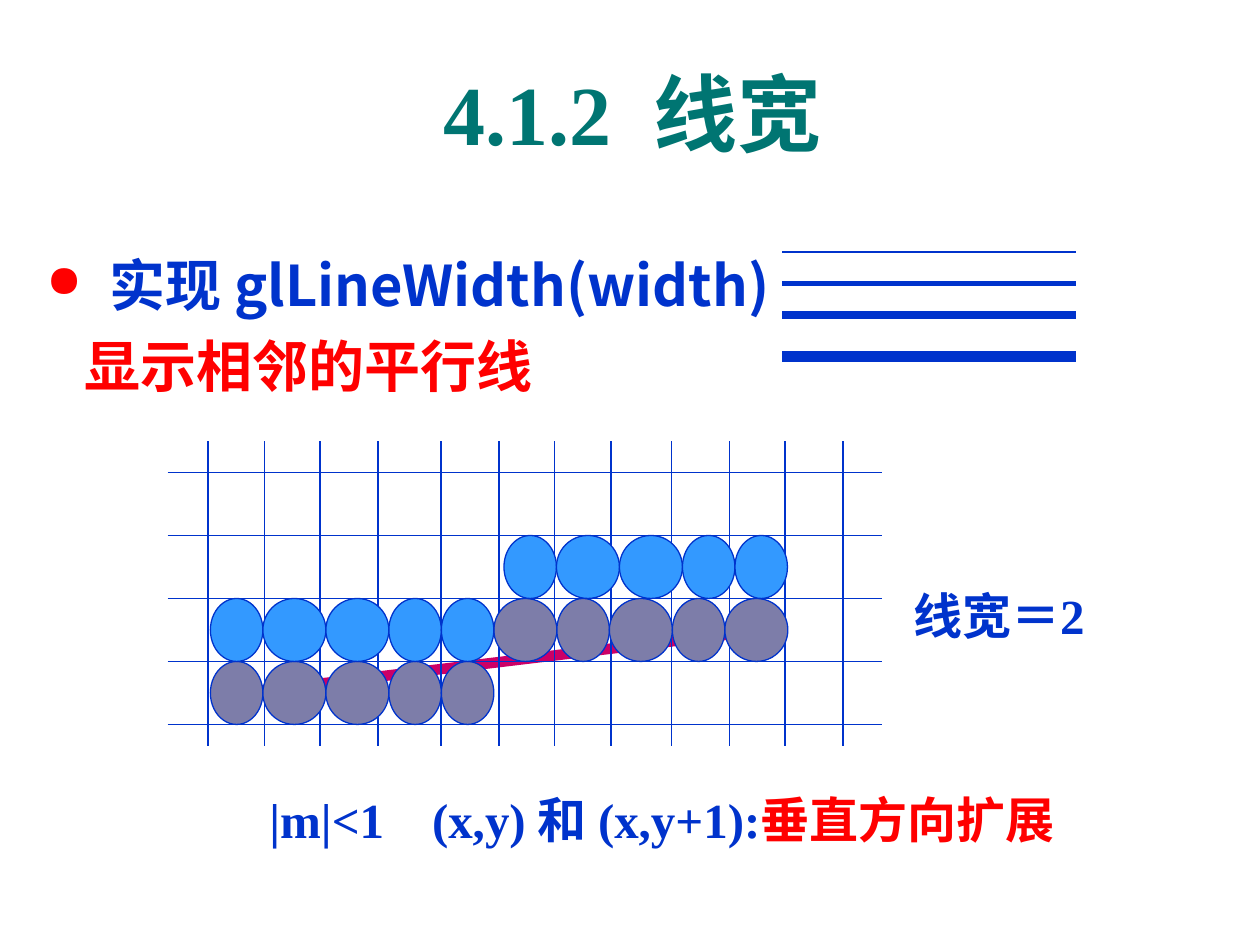
from lxml import etree
from pptx import Presentation
from pptx.dml.color import RGBColor
from pptx.enum import shapes, text
from pptx.oxml import ns
from pptx.util import Inches, Pt

COLORS = {
    "title": "007572",
    "blue": "0033CC",
    "red": "FF0000",
    "ideal_line": "CC0066",
    "base_pixel": "7D7DA9",
    "added_pixel": "3399FF",
}
SERIF, SANS = "Times New Roman", "Noto Sans CJK SC"

ROW = 0.5
WIDE, NARROW = 0.5, 5 / 12
GRID_X = [1.65, 2.1, 2.54, 3, 3.5, 3.96, 4.4, 4.85, 5.33, 5.79, 6.23, 6.69]
GRID_Y = [3.75 + ROW * row for row in range(5)]

EVEN_RUN = [NARROW, WIDE, WIDE, NARROW, NARROW]
MIXED_RUN = [WIDE, NARROW, WIDE, NARROW, WIDE]
# left, top, pixel widths, colour
PIXEL_RUNS = [
    (1.67, 5.25, EVEN_RUN, "base_pixel"),
    (3.92, 4.75, MIXED_RUN, "base_pixel"),
    (1.67, 4.75, EVEN_RUN, "added_pixel"),
    (4, 4.25, EVEN_RUN, "added_pixel"),
]
# height on the slide, line width
SAMPLE_LINES = [(2, 1), (2.25, 3), (2.5, 4.5), (2.83, 6)]


def rgb(name):
    return RGBColor.from_string(COLORS[name])


def add_element(parent, tag, **attributes):
    return etree.SubElement(parent, ns.qn(tag), **attributes)


def add_line(slide, start, end, width, color="blue"):
    line = slide.shapes.add_connector(
        shapes.MSO_CONNECTOR.STRAIGHT, *map(Inches, (*start, *end)))
    line.line.width = Pt(width)
    line.line.color.rgb = rgb(color)
    add_element(line._element.spPr, "a:effectLst")


def add_pixel(slide, left, top, width, color):
    pixel = slide.shapes.add_shape(
        shapes.MSO_SHAPE.OVAL, *map(Inches, (left, top, width, ROW)))
    pixel.shadow.inherit = False
    pixel.fill.solid()
    pixel.fill.fore_color.rgb = rgb(color)
    pixel.line.color.rgb = rgb("blue")
    pixel.line.width = Pt(0.75)


def add_frame(slide, left, top, width, height, wrap=True,
              anchor=text.MSO_ANCHOR.TOP):
    frame = slide.shapes.add_textbox(
        *map(Inches, (left, top, width, height))).text_frame
    frame.word_wrap = wrap
    frame.vertical_anchor = anchor
    return frame


def write(paragraph, words, size=28, color="blue", font=SERIF):
    run = paragraph.add_run()
    run.text = words
    run.font.size = Pt(size)
    run.font.bold = True
    run.font.color.rgb = rgb(color)
    run.font.name = font
    add_element(run.font._element, "a:ea", typeface=SANS)


def set_bullet(paragraph, margin):
    properties = paragraph._p.get_or_add_pPr()
    properties.set("marL", str(Inches(margin)))
    properties.set("indent", str(-Inches(margin)))
    bullet_color = add_element(properties, "a:buClr")
    add_element(bullet_color, "a:srgbClr", val=COLORS["red"])
    add_element(properties, "a:buSzPct", val="80000")
    add_element(properties, "a:buChar", char="●")


def set_tab(paragraph, position):
    tabs = add_element(paragraph._p.get_or_add_pPr(), "a:tabLst")
    add_element(tabs, "a:tab", pos=str(Inches(position)), algn="l")


def add_heading(slide):
    heading = add_frame(slide, 0.35, 0.44, 9.34, 0.9,
                        anchor=text.MSO_ANCHOR.MIDDLE).paragraphs[0]
    heading.alignment = text.PP_ALIGN.CENTER
    write(heading, "4.1.2  线宽", size=48, color="title")


def add_points(slide):
    points = add_frame(slide, 0.27, 1.94, 9.34, 1.28)
    function_point = points.paragraphs[0]
    set_bullet(function_point, 0.5)
    write(function_point, "实现 glLineWidth(width)", size=32, font=SANS)

    method = points.add_paragraph()
    method._p.get_or_add_pPr().set("marL", str(Inches(0.3)))
    method.space_before = Pt(8)
    write(method, "显示相邻的平行线", size=32, color="red", font=SANS)


def add_raster(slide):
    # Ideal line behind the grid
    add_line(slide, (1.92, 5.5), (6.08, 5), 6, "ideal_line")
    for x in GRID_X:
        add_line(slide, (x, 3.5), (x, 5.92), 0.75)
    for y in GRID_Y:
        add_line(slide, (1.33, y), (7, y), 0.75)
    # Pixels touch each other within a run
    for left, top, widths, color in PIXEL_RUNS:
        for width in widths:
            add_pixel(slide, left, top, width, color)
            left += width


def add_captions(slide):
    rule = add_frame(slide, 2.04, 6.22, 6.71, 0.57, wrap=False).paragraphs[0]
    set_tab(rule, 1.29)
    write(rule, "|m|<1\t(x,y) 和 (x,y+1):")
    write(rule, "垂直方向扩展", color="red")

    width_label = add_frame(slide, 7.15, 4.6, 1.65, 0.57, wrap=False)
    write(width_label.paragraphs[0], "线宽＝2")


def main():
    deck = Presentation()
    deck.slide_width, deck.slide_height = Inches(10), Inches(7.5)
    slide = deck.slides.add_slide(deck.slide_layouts[6])

    add_heading(slide)
    add_points(slide)
    # Samples of growing line width
    for y, width in SAMPLE_LINES:
        add_line(slide, (6.21, y), (8.54, y), width)
    add_raster(slide)
    add_captions(slide)
    deck.save("out.pptx")


if __name__ == "__main__":
    main()
